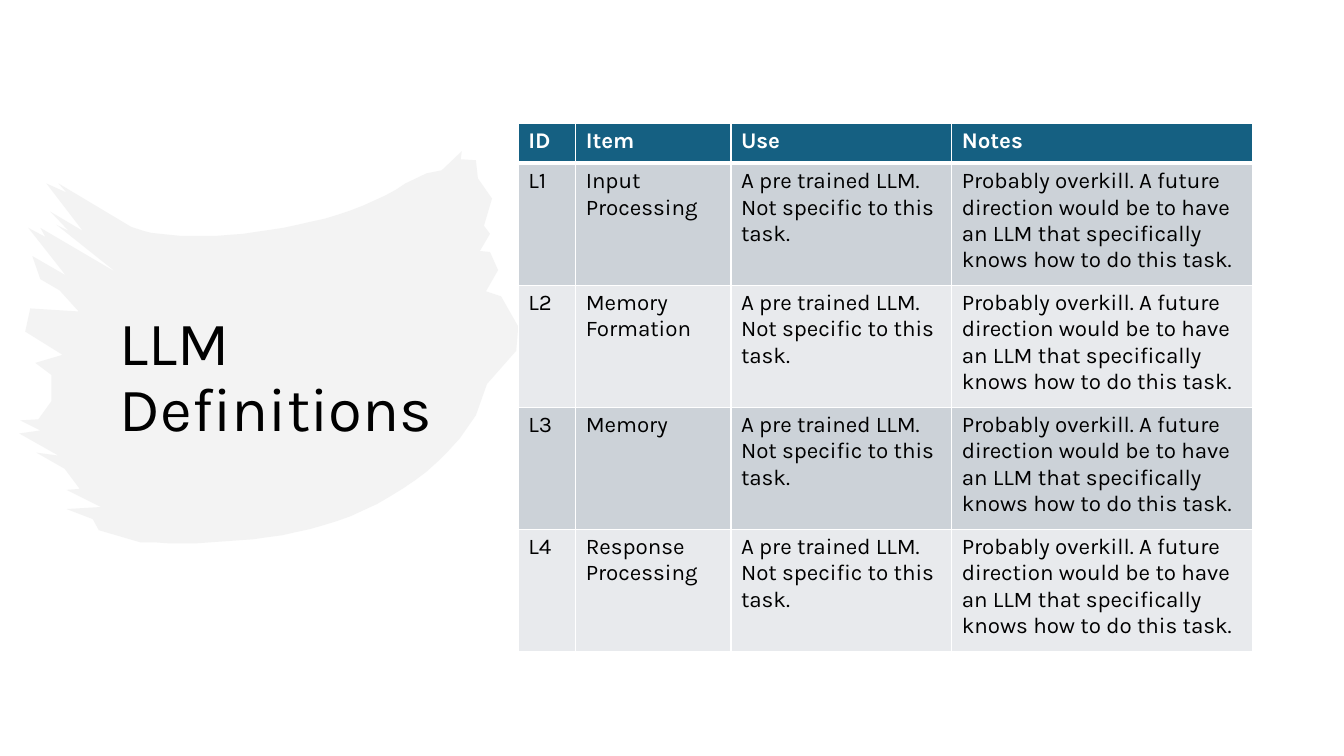
from dataclasses import dataclass
from typing import Any, NamedTuple

from lxml import etree
from pptx import Presentation, util as u
from pptx.dml.color import RGBColor
from pptx.enum import text
from pptx.oxml import ns

CELL = u.Inches(0.01)
COLS, ROWS = 1333, 750
FONT = "Karla"
BLACK = RGBColor(0x00, 0x00, 0x00)
WHITE = RGBColor(0xFF, 0xFF, 0xFF)
TEAL = RGBColor(0x15, 0x60, 0x82)
BANDS = (RGBColor(0xCC, 0xD2, 0xD8), RGBColor(0xE8, 0xEA, 0xED))
BRUSH = RGBColor(0xE8, 0xE8, 0xE8)


class Point(NamedTuple):
    x: float
    y: float


class Curve(NamedTuple):
    start: Point
    c1: Point
    c2: Point
    end: Point


class Box(NamedTuple):
    left: float
    top: float
    width: float
    height: float

    def emu(self) -> list[int]:
        return [grid(n) for n in self]


@dataclass
class Definition:
    key: str
    item: str
    use: str = "A pre trained LLM. Not specific to this task."
    notes: str = ("Probably overkill. A future direction would be to have "
                  "an LLM that specifically knows how to do this task.")

    def cells(self) -> list[str]:
        return [self.key, self.item, self.use, self.notes]


HEADER = Definition("ID", "Item", "Use", "Notes")
DEFINITIONS = [
    Definition("L1", "Input Processing"),
    Definition("L2", "Memory Formation"),
    Definition("L3", "Memory"),
    Definition("L4", "Response Processing"),
]
TABLE_COLS = (57, 154, 219, 298)
HEADER_ROW, BODY_ROW = 40, 121
TABLE = Box(514, 122, sum(TABLE_COLS), HEADER_ROW + BODY_ROW * len(DEFINITIONS))
TITLE = Box(109, 75, 382, 601)

RIGHT_EDGE = [
    (458, 150), (457, 158), (472, 159), (474, 177), (488, 197), (480, 224),
    (486, 232), (476, 249), (486, 250), (494, 268), (482, 289), (497, 294),
    (514, 324), (512, 348), (483, 381), (472, 412),
]
BOTTOM = Curve(Point(456, 435), Point(372, 533), Point(249, 542), Point(139, 538))
LEFT_EDGE = [
    (98, 526), (92, 515), (66, 505), (100, 503), (66, 486), (79, 485),
    (64, 465), (36, 449), (58, 452), (19, 430), (40, 427), (20, 417),
    (38, 416), (51, 398), (51, 372), (35, 360), (62, 352), (25, 329),
    (30, 306), (78, 309), (59, 288), (40, 277), (32, 254), (65, 273),
    (28, 226), (45, 235), (40, 226), (115, 270), (56, 223), (68, 229),
    (50, 210), (82, 229), (46, 182), (66, 191), (58, 182),
]
TOP = Curve(Point(130, 225), Point(170, 245), Point(330, 233), Point(402, 182))
TIP = [(423, 172), (438, 169)]


def grid(n: float) -> int:
    return round(n * CELL)


def sweep(curve: Curve, steps: int = 24) -> list[Point]:
    points = []
    for i in range(steps + 1):
        t = i / steps
        weights = ((1 - t) ** 3, 3 * t * (1 - t) ** 2, 3 * t * t * (1 - t), t ** 3)
        points.append(Point(sum(w * k.x for w, k in zip(weights, curve)),
                            sum(w * k.y for w, k in zip(weights, curve))))
    return points


def apply(target: Any, values: dict[str, Any]) -> None:
    for name, value in values.items():
        setattr(target, name, value)


def write(tf: Any, words: str, size: int, color: RGBColor, bold: bool = False) -> Any:
    p = tf.paragraphs[0]
    r = p.add_run()
    r.text = words
    apply(r.font, {"name": FONT, "size": u.Pt(size), "bold": bold})
    r.font.color.rgb = color
    return p


def draw_brush(s: Any) -> None:
    points = [*RIGHT_EDGE, *sweep(BOTTOM), *LEFT_EDGE, *sweep(TOP), *TIP]
    fb = s.shapes.build_freeform(*points[0], scale=float(CELL))
    fb.add_line_segments(points[1:], close=True)
    sp = fb.convert_to_shape()
    sp.shadow.inherit = False
    sp.fill.solid()
    sp.fill.fore_color.rgb = BRUSH
    sp.line.fill.background()
    tint = sp._element.spPr.find(ns.qn("a:solidFill")).find(ns.qn("a:srgbClr"))
    etree.SubElement(tint, ns.qn("a:alpha"), val="50000")


def draw_title(s: Any) -> None:
    tf = s.shapes.add_textbox(*TITLE.emu()).text_frame
    apply(tf, {"word_wrap": True, "vertical_anchor": text.MSO_ANCHOR.MIDDLE})
    write(tf, "LLM Definitions", 44, BLACK).line_spacing = 0.9


def border(cell: Any, widths: dict[str, int]) -> None:
    tcPr = cell._tc.get_or_add_tcPr()
    for i, (side, width) in enumerate(widths.items()):
        ln = etree.Element(ns.qn(f"a:ln{side}"), w=str(u.Pt(width)))
        fill = etree.SubElement(ln, ns.qn("a:solidFill"))
        etree.SubElement(fill, ns.qn("a:srgbClr"), val=str(WHITE))
        tcPr.insert(i, ln)


def draw_table(s: Any) -> None:
    records = [HEADER, *DEFINITIONS]
    tb = s.shapes.add_table(len(records), len(TABLE_COLS), *TABLE.emu()).table
    for column, width in zip(tb.columns, TABLE_COLS):
        column.width = grid(width)
    for i, record in enumerate(records):
        head = i == 0
        tb.rows[i].height = grid(HEADER_ROW if head else BODY_ROW)
        for cell, words in zip(tb.rows[i].cells, record.cells()):
            cell.fill.solid()
            cell.fill.fore_color.rgb = TEAL if head else BANDS[(i - 1) % 2]
            border(cell, {"L": 1, "R": 1, "T": 3 if i == 1 else 1, "B": 3 if head else 1})
            write(cell.text_frame, words, 16, WHITE if head else BLACK, head)


def main() -> None:
    prs = Presentation()
    apply(prs, {"slide_width": grid(COLS), "slide_height": grid(ROWS)})
    s = prs.slides.add_slide(prs.slide_layouts[6])
    draw_brush(s)
    draw_title(s)
    draw_table(s)
    prs.save("out.pptx")


if __name__ == "__main__":
    main()
